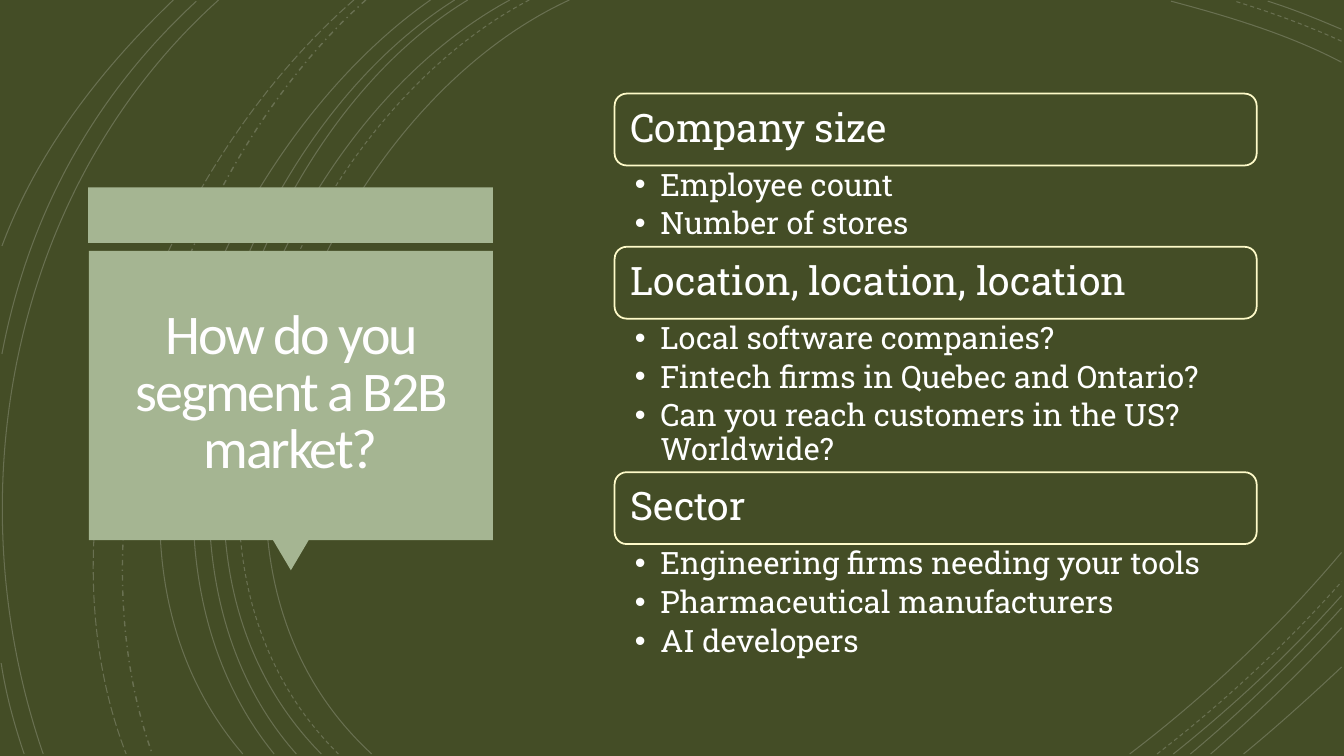
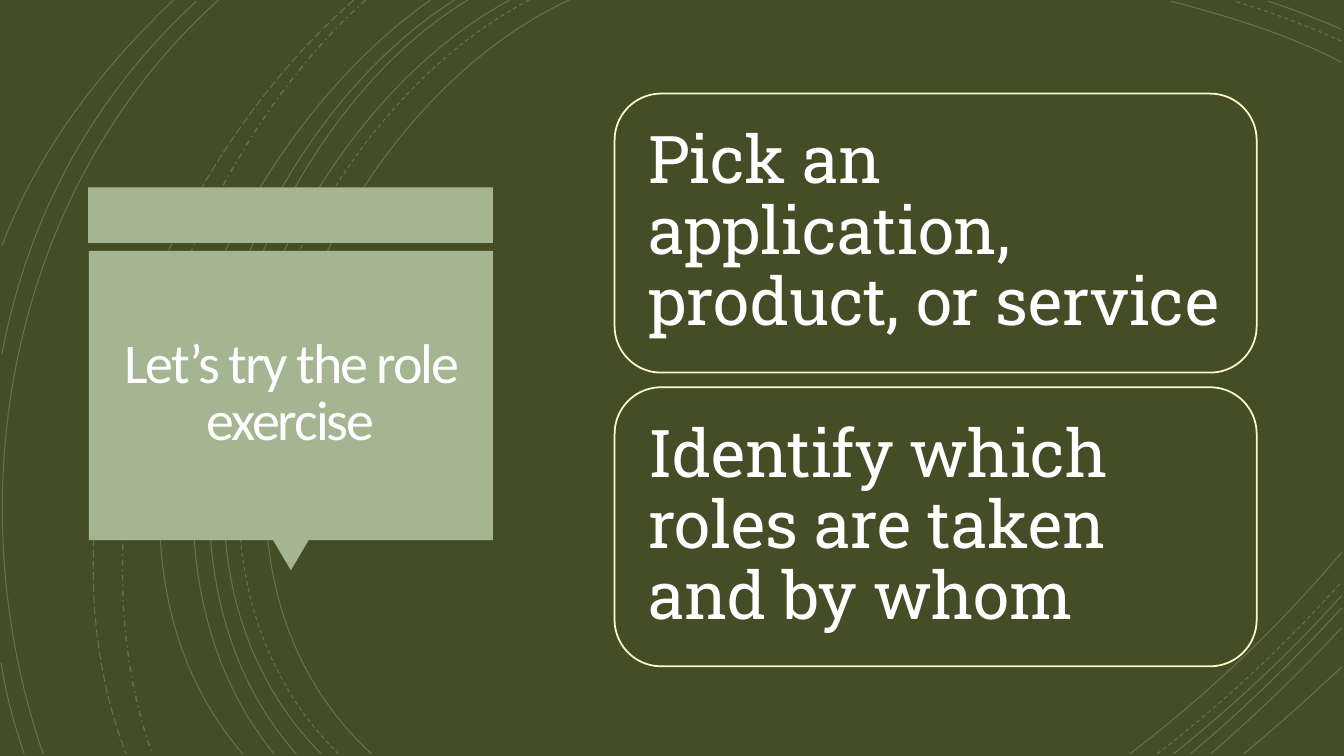
import dataclasses

import lxml.etree
import pptx
import pptx.dml.color
import pptx.enum.dml
import pptx.enum.shapes
import pptx.enum.text
import pptx.oxml.ns
import pptx.util

Cm = pptx.util.Cm
Pt = pptx.util.Pt
Dash = pptx.enum.dml.MSO_LINE
Preset = pptx.enum.shapes.MSO_SHAPE
Align = pptx.enum.text.PP_ALIGN
Anchor = pptx.enum.text.MSO_ANCHOR
qn = pptx.oxml.ns.qn


@dataclasses.dataclass(frozen=True)
class Theme:
    olive: str = "444D26"
    sage: str = "A5B592"
    cream: str = "FEFAC9"
    white: str = "FFFFFF"
    title_color: str = "FFFEFF"
    title_font: str = "Calibri"
    body_font: str = "Roboto Slab"
    title_size: int = 40
    heading_size: int = 28
    list_size: int = 22
    statement_size: int = 47


theme = Theme()

# Sweeps run from the top edge to the bottom: start x, two control points, end x
SWEEP_BOTTOM = 19
SWEEPS = [
    (14.35, (8, 2.92), (3.63, 13.72), 9.37, Dash.SOLID),
    (13.34, (7.24, 3.18), (3.12, 13.64), 8.53, Dash.DASH),
    (12.85, (6.86, 3.23), (2.79, 13.64), 8.1, Dash.SOLID),
    (11.79, (6.2, 3.38), (2.79, 13.74), 7.47, Dash.SOLID),
    (11.46, (5.87, 3.51), (2.46, 13.54), 6.91, Dash.SOLID),
    (10.85, (5.51, 3.73), (1.35, 13.44), 6.12, Dash.SOLID),
    (9.22, (4.47, 4.22), (1.65, 12.93), 3.84, Dash.DASH_DOT),
    (8.92, (3.99, 4.29), (0.74, 12.67), 3.18, Dash.LONG_DASH),
    (5.51, (0.28, 4.7), (-1.17, 12.45), 1.09, Dash.SOLID),
]
# Corner arcs: start, two control points, end
CORNER_ARCS = [
    ((33.81, 1.57), (32.46, 0.86), (30.94, 0.41), (29.51, 0.03), Dash.SOLID),
    ((33.81, 1.04), (32.94, 0.64), (32, 0.3), (31.12, 0.03), Dash.DASH),
    ((33.81, 0.74), (33.2, 0.48), (32.59, 0.23), (31.95, 0.03), Dash.SOLID),
    ((28.47, 19), (30.4, 17.53), (32.23, 15.8), (33.81, 13.92), Dash.SOLID),
    ((29.16, 19), (30.81, 17.73), (32.39, 16.26), (33.81, 14.66), Dash.DASH),
    ((29.57, 19), (31.06, 17.81), (32.51, 16.46), (33.81, 15.01), Dash.SOLID),
    ((30, 19), (31.34, 17.88), (32.61, 16.64), (33.81, 15.32), Dash.SOLID),
    ((30.51, 19), (31.65, 18.01), (32.77, 16.94), (33.81, 15.82), Dash.SOLID),
    ((31.34, 19), (32.18, 18.31), (32.99, 17.58), (33.81, 16.81), Dash.SOLID),
    ((4.95, 0.03), (2.34, 2.44), (0.71, 5.44), (0.05, 8.92), Dash.SOLID),
    ((4.37, 0), (2.54, 1.75), (0.94, 3.81), (0.05, 6.2), Dash.SOLID),
    ((0.03, 16.71), (0.15, 17.5), (0.36, 18.26), (0.61, 19), Dash.SOLID),
]

CARD_LEFT = 15.49
CARD_WIDTH = 16.18
CARD_TOP = 2.36

SEGMENTS = [
    ("Company size", 2.05, ["Employee count", "Number of stores"]),
    ("Location, location, location", 3.87, [
        "Local software companies?",
        "Fintech firms in Quebec and Ontario?",
        "Can you reach customers in the US? Worldwide?",
    ]),
    ("Sector", 3.05, [
        "Engineering firms needing your tools",
        "Pharmaceutical manufacturers",
        "AI developers",
    ]),
]
STATEMENTS = [
    "Pick an application, product, or service",
    "Identify which roles are taken and by whom",
]
HEADING_HEIGHT = 1.81
STATEMENT_HEIGHT = 7.03
STATEMENT_PITCH = 7.4


def format_text(box, font, size, color, insets, spacing, anchor, align=Align.LEFT):
    """Format all text of a box; insets are left, top, right, bottom in cm."""
    frame = box.text_frame
    frame.word_wrap = True
    frame.auto_size = pptx.enum.text.MSO_AUTO_SIZE.NONE
    frame.vertical_anchor = anchor
    frame.margin_left, frame.margin_top, frame.margin_right, frame.margin_bottom = map(Cm, insets)
    for para in frame.paragraphs:
        para.alignment = align
        para.line_spacing = spacing
        para.space_before = Pt(0)
        for span in para.runs:
            span.font.name = font
            span.font.size = Pt(size)
            span.font.bold = False
            span.font.color.rgb = pptx.dml.color.RGBColor.from_string(color)


def add_card(page, top, height, text, size, inset):
    card = page.shapes.add_shape(
        Preset.ROUNDED_RECTANGLE, Cm(CARD_LEFT), Cm(top), Cm(CARD_WIDTH), Cm(height))
    card.shadow.inherit = False
    card.fill.solid()
    card.fill.fore_color.rgb = pptx.dml.color.RGBColor.from_string(theme.olive)
    card.line.color.rgb = pptx.dml.color.RGBColor.from_string(theme.cream)
    card.line.width = Pt(1.25)
    card.text_frame.text = text
    format_text(card, theme.body_font, size, theme.white, [inset] * 4, 0.9, Anchor.MIDDLE)


deck = pptx.Presentation()
deck.slide_width = Cm(33.87)
deck.slide_height = Cm(19.05)
master = deck.slide_master
master.background.fill.solid()
master.background.fill.fore_color.rgb = pptx.dml.color.RGBColor.from_string(theme.olive)

segment_page = deck.slides.add_slide(deck.slide_layouts.get_by_name("Comparison"))
exercise_page = deck.slides.add_slide(deck.slide_layouts.get_by_name("Title Only"))

# Shared decoration: drawn once, then moved to the slide master
decoration = []
arcs = [((start, 0), first, second, (end, SWEEP_BOTTOM), dash)
        for start, first, second, end, dash in SWEEPS] + CORNER_ARCS
for *controls, dash in arcs:
    points = [(Cm(x), Cm(y)) for x, y in controls]
    builder = segment_page.shapes.build_freeform(*points[0])
    builder.add_line_segments(points[1:], close=False)
    arc = builder.convert_to_shape()
    # Turn the three straight segments into one Bézier curve
    outline = arc.element.find(".//" + qn("a:path"))
    segments = outline.findall(qn("a:lnTo"))
    curve = lxml.etree.SubElement(outline, qn("a:cubicBezTo"))
    for segment in segments:
        curve.append(segment[0])
        outline.remove(segment)
    arc.shadow.inherit = False
    arc.fill.background()
    arc.line.color.rgb = pptx.dml.color.RGBColor.from_string(theme.white)
    arc.line.width = Pt(1 if dash == Dash.DASH_DOT else 0.75)
    arc.line.dash_style = dash
    color = arc.element.find(".//" + qn("a:ln")).find(".//" + qn("a:srgbClr"))
    lxml.etree.SubElement(color, qn("a:alpha"), val="20000")
    decoration.append(arc)

for preset, left, top, width, height, rotation in [
    (Preset.RECTANGLE, 2.22, 4.72, 10.2, 1.4, 0),
    (Preset.ISOSCELES_TRIANGLE, 6.88, 13.61, 0.9, 0.76, 180),
    (Preset.RECTANGLE, 2.24, 6.32, 10.18, 7.29, 0),
]:
    panel = segment_page.shapes.add_shape(preset, Cm(left), Cm(top), Cm(width), Cm(height))
    panel.rotation = rotation
    panel.shadow.inherit = False
    panel.fill.solid()
    panel.fill.fore_color.rgb = pptx.dml.color.RGBColor.from_string(theme.sage)
    panel.line.fill.background()
    decoration.append(panel)

for shape in decoration:
    master.shapes.element.append(shape.element)

# Titles
for page, text in [
    (segment_page, "How do you segment a B2B market?"),
    (exercise_page, "Let’s try the role exercise"),
]:
    title = page.shapes.title
    title.left, title.top, title.width, title.height = map(Cm, (2.46, 6.53, 9.73, 6.83))
    title.text_frame.text = text
    format_text(title, theme.title_font, theme.title_size, theme.title_color,
                [0.63] * 4, 0.85, Anchor.MIDDLE, Align.CENTER)
    for span in title.text_frame.paragraphs[0].runs:
        span.font._element.set("spc", "-150")

# Segments: each heading card is followed by its list
bodies = list(segment_page.placeholders)[1:]
top = CARD_TOP
for (heading, list_height, items), body in zip(SEGMENTS, bodies):
    add_card(segment_page, top, HEADING_HEIGHT, heading, theme.heading_size, 0.3)
    top += HEADING_HEIGHT
    body.left, body.top, body.width, body.height = map(
        Cm, (CARD_LEFT, top, CARD_WIDTH, list_height))
    body.text_frame.text = "\n".join(items)
    format_text(body, theme.body_font, theme.list_size, theme.white,
                (0.51, 0.1, 0.56, 0.1), 0.9, Anchor.TOP)
    for para in body.text_frame.paragraphs:
        para.space_after = Pt(4)
        properties = para._p.get_or_add_pPr()
        properties.set("marL", str(Cm(0.64)))
        properties.set("indent", str(Cm(-0.64)))
        lxml.etree.SubElement(properties, qn("a:buChar"), char="•")
    top += list_height
for body in bodies[len(SEGMENTS):]:
    body.element.getparent().remove(body.element)

# Exercise steps
for row, statement in enumerate(STATEMENTS):
    add_card(exercise_page, CARD_TOP + row * STATEMENT_PITCH, STATEMENT_HEIGHT,
             statement, theme.statement_size, 0.5)

deck.save("out.pptx")
